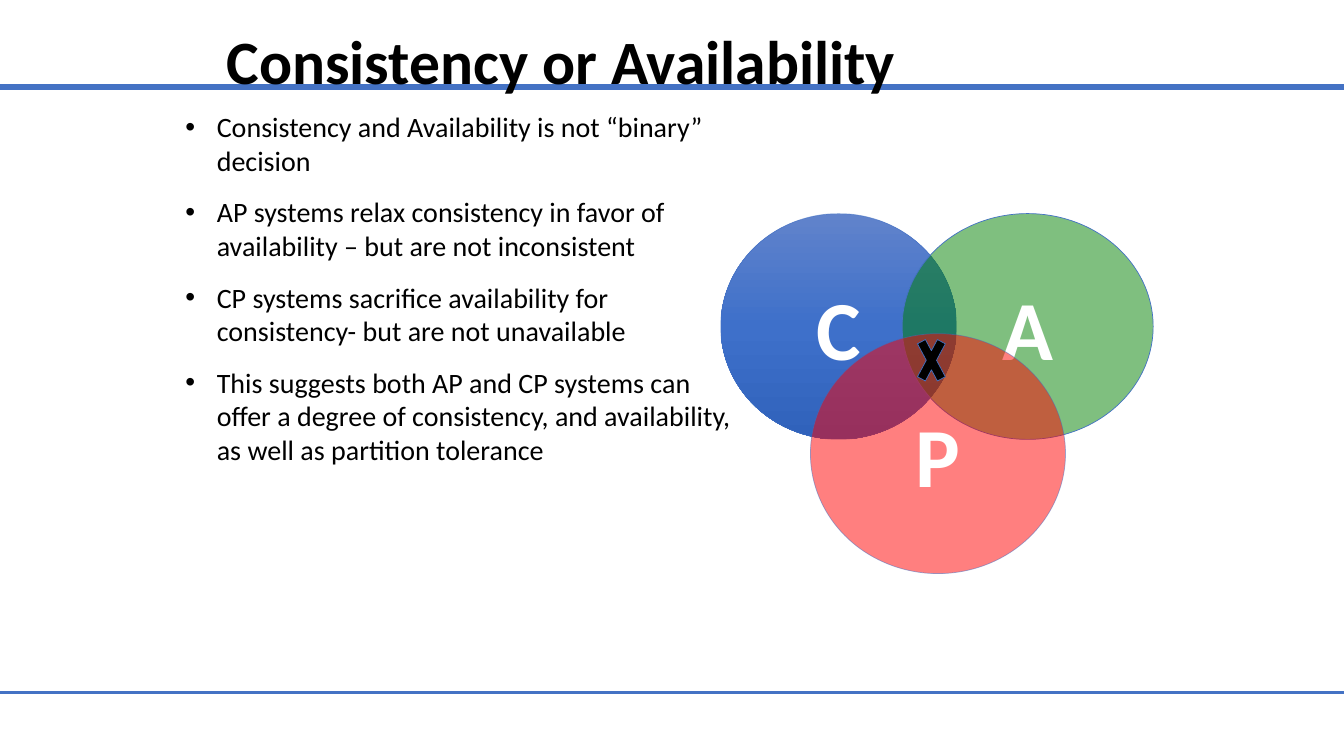
import copy
from dataclasses import dataclass

import lxml.etree
import pptx
import pptx.dml.color
import pptx.enum.shapes
import pptx.enum.text
import pptx.oxml.ns
import pptx.util

Pt = pptx.util.Pt
qn = pptx.oxml.ns.qn
Shape = pptx.enum.shapes.MSO_SHAPE
Anchor = pptx.enum.text.MSO_ANCHOR
Align = pptx.enum.text.PP_ALIGN


@dataclass(frozen=True)
class Theme:
    """Colours and type sizes of the slide."""
    font: str = "Calibri"
    ink: str = "000000"
    light: str = "FFFFFF"
    accent: str = "4472C4"
    soft_accent: str = "3F6FC3"
    consistency: tuple = ("6183CB", "3E70CA", "3062BB")
    availability: str = "008000"
    partition: str = "FF0000"
    title_size: float = 44
    body_size: float = 20
    letter_size: float = 60


THEME = Theme()
BULLETS = [
    "Consistency and Availability is not “binary” decision",
    "AP systems relax consistency in favor of availability – but are not inconsistent",
    "CP systems sacrifice availability for consistency- but are not unavailable",
    "This suggests both AP and CP systems can offer a degree of consistency, "
    "and availability, as well as partition tolerance",
]


def apply(target, formats):
    """Set every attribute named in a dict of format values."""
    for name, value in formats.items():
        setattr(target, name, value)


def rgb(code):
    """Turn a hex code into a colour."""
    return pptx.dml.color.RGBColor.from_string(code)


def write(para, words, size, color, bold=False):
    """Add one formatted span to a paragraph."""
    span = para.add_run()
    span.text = words
    apply(span.font, {"name": THEME.font, "size": Pt(size), "bold": bold})
    span.font.color.rgb = rgb(color)


def make_translucent(owner):
    """Give the solid fill inside an element half opacity."""
    color = owner.find(qn("a:solidFill"))[0]
    lxml.etree.SubElement(color, qn("a:alpha"), val="50000")


def fill_gradient(shape, colors):
    """Fill a shape from top to bottom with evenly spaced colours."""
    shape.fill.gradient()
    shape.fill.gradient_angle = 270
    stop_list = shape._element.spPr.find(qn("a:gradFill")).find(qn("a:gsLst"))
    while len(stop_list) < len(colors):
        stop_list.append(copy.deepcopy(stop_list[0]))
    for index, (stop, color) in enumerate(zip(shape.fill.gradient_stops, colors)):
        stop.position = index / (len(colors) - 1)
        stop.color.rgb = rgb(color)


def add_figure(page, kind, box, fill, line, clear_fill=False, clear_line=False):
    """Add a thinly outlined shape with a solid or gradient fill."""
    shape = page.shapes.add_shape(kind, *map(Pt, box))
    shape.shadow.inherit = False
    if isinstance(fill, tuple):
        fill_gradient(shape, fill)
    else:
        shape.fill.solid()
        shape.fill.fore_color.rgb = rgb(fill)
    shape.line.width = Pt(0.5)
    shape.line.color.rgb = rgb(line)
    if clear_fill:
        make_translucent(shape._element.spPr)
    if clear_line:
        make_translucent(shape._element.spPr.find(qn("a:ln")))
    return shape


def add_rules(page, box):
    """Draw the heavy header rule and the thin footer rule."""
    left, top, width, height = box
    for y, weight in ((top, 4.5), (top + height, 1.5)):
        rule = page.shapes.add_connector(
            pptx.enum.shapes.MSO_CONNECTOR.STRAIGHT,
            Pt(left), Pt(y), Pt(left + width), Pt(y))
        rule.line.width = Pt(weight)
        rule.line.color.rgb = rgb(THEME.accent)
        lxml.etree.SubElement(rule._element.spPr, qn("a:effectLst"))


def add_title(page, box):
    """Place the title in its box."""
    frame = page.shapes.add_textbox(*map(Pt, box)).text_frame
    apply(frame, {"word_wrap": True, "vertical_anchor": Anchor.MIDDLE})
    para = frame.paragraphs[0]
    para.line_spacing = 0.9
    write(para, "Consistency or Availability", THEME.title_size, THEME.ink, True)


def add_bullets(page, box):
    """Place the bulleted statements in their box."""
    frame = page.shapes.add_textbox(*map(Pt, box)).text_frame
    frame.word_wrap = True
    for index, words in enumerate(BULLETS):
        para = frame.add_paragraph() if index else frame.paragraphs[0]
        para.space_after = Pt(12.8)
        write(para, words, THEME.body_size, THEME.ink)
        properties = para._p.get_or_add_pPr()
        for name, indent in (("marL", Pt(22.5)), ("indent", -Pt(22.5))):
            properties.set(name, str(int(indent)))
        lxml.etree.SubElement(properties, qn("a:buFont"), typeface="Arial")
        lxml.etree.SubElement(properties, qn("a:buChar"), char="•")


def add_venn(page, box):
    """Draw the three overlapping circles and the crossed-out centre."""
    left, top = box[:2]
    circles = [
        ("C", (0, 0, 168.5, 161.3), THEME.consistency, THEME.soft_accent, False, True),
        ("A", (129.6, 0, 179.3, 161.3), THEME.availability, THEME.accent, True, False),
        ("P", (64.1, 85.7, 182.2, 171.4), THEME.partition, THEME.soft_accent, True, True),
    ]
    for letter, (x, y, width, height), *style in circles:
        circle = add_figure(page, Shape.OVAL, (left + x, top + y, width, height), *style)
        circle.text_frame.vertical_anchor = Anchor.MIDDLE
        para = circle.text_frame.paragraphs[0]
        para.alignment = Align.CENTER
        write(para, letter, THEME.letter_size, THEME.light, True)
    add_figure(page, Shape.MATH_MULTIPLY, (left + 136.8, top + 79.2, 27.4, 51.1),
               THEME.ink, THEME.accent)


def build_slide(deck):
    """Build the slide from its regions."""
    page = deck.slides.add_slide(deck.slide_layouts[6])
    add_rules(page, (0, 62, 960, 432.7))
    add_title(page, (154.8, 8.6, 671.8, 74.9))
    add_venn(page, (514.8, 152.6, 308.9, 257.1))
    add_bullets(page, (125.3, 74.9, 414.7, 263.5))


def main():
    """Create and save the deck."""
    deck = pptx.Presentation()
    apply(deck, {"slide_width": Pt(960), "slide_height": Pt(540)})
    build_slide(deck)
    deck.save("out.pptx")


main()
